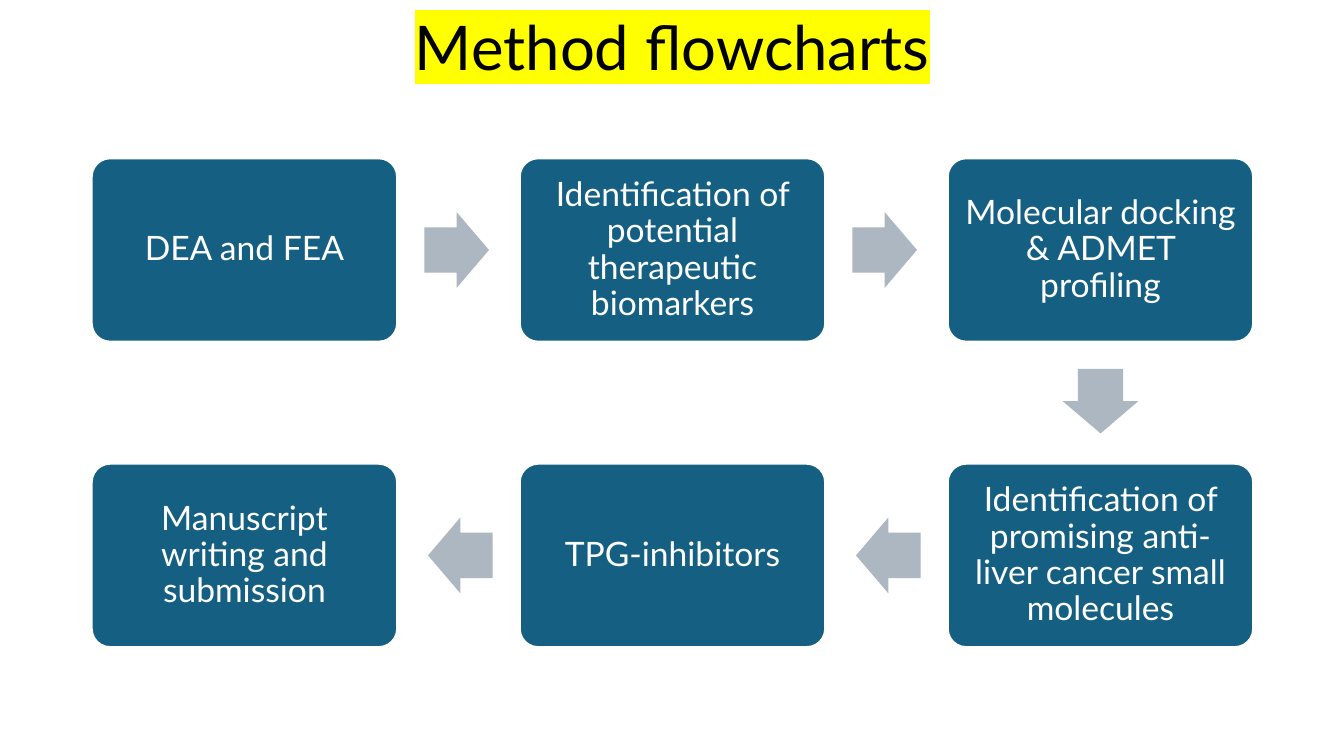
from lxml import etree
from pptx import Presentation
from pptx import util as u
from pptx.dml.color import RGBColor
from pptx.enum import shapes, text
from pptx.oxml.ns import qn

FONT = "Lato"
BOX_W, BOX_H = 3.03, 1.82
PITCH_X, PITCH_Y = 4.245, 3.03
ARROW_L, ARROW_W = 0.64, 0.75
ARROW_GAP = 0.27

# Text, column, row of each step, in reading order of the flow
STEPS = [
    ("DEA and FEA", 0, 0),
    ("Identification of potential therapeutic biomarkers", 1, 0),
    ("Molecular docking & ADMET profiling", 2, 0),
    ("Identification of promising anti-liver cancer small molecules", 2, 1),
    ("TPG-inhibitors", 1, 1),
    ("Manuscript writing and submission", 0, 1),
]


def rgb(value):
    return RGBColor.from_string(value)


def format_text(tf, size, color):
    tf.word_wrap = True
    tf.vertical_anchor = text.MSO_ANCHOR.MIDDLE
    p = tf.paragraphs[0]
    p.alignment = text.PP_ALIGN.CENTER
    p.line_spacing = 0.9
    r = p.runs[0]
    r.font.name = FONT
    r.font.size = u.Pt(size)
    r.font.color.rgb = rgb(color)
    return r


def highlight(r, color):
    fill = r.font._element.find(qn("a:solidFill"))
    mark = etree.Element(qn("a:highlight"))
    etree.SubElement(mark, qn("a:srgbClr"), val=color)
    fill.addnext(mark)


def add_title(s, left, top, width, height):
    sp = s.shapes.title
    sp.left, sp.top = u.Inches(left), u.Inches(top)
    sp.width, sp.height = u.Inches(width), u.Inches(height)
    sp.text_frame.text = "Method flowcharts"
    highlight(format_text(sp.text_frame, 44, "000000"), "FFFF00")


def add_block(s, kind, cx, cy, width, height, color):
    """Add a filled shape centred on (cx, cy)."""
    sp = s.shapes.add_shape(kind, u.Inches(cx - width / 2), u.Inches(cy - height / 2),
                            u.Inches(width), u.Inches(height))
    sp.shadow.inherit = False
    sp.fill.solid()
    sp.fill.fore_color.rgb = rgb(color)
    sp.line.fill.background()
    return sp


def add_step(s, label, cx, cy):
    sp = add_block(s, shapes.MSO_SHAPE.ROUNDED_RECTANGLE, cx, cy, BOX_W, BOX_H, "156082")
    sp.adjustments[0] = 0.1
    sp.line.color.rgb = rgb("FFFFFF")
    sp.line.width = u.Pt(1.5)
    tf = sp.text_frame
    tf.margin_left = tf.margin_right = tf.margin_top = tf.margin_bottom = u.Inches(0.1)
    tf.text = label
    format_text(tf, 24, "FFFFFF")


def add_arrow(s, cx, cy, dx, dy):
    """Add an arrow leaving the step centred on (cx, cy) in direction (dx, dy)."""
    reach = ARROW_GAP + ARROW_L / 2
    sp = add_block(s, shapes.MSO_SHAPE.RIGHT_ARROW,
                   cx + dx * (BOX_W / 2 + reach), cy + dy * (BOX_H / 2 + reach),
                   ARROW_L, ARROW_W, "ACB7C1")
    sp.adjustments[0] = 0.6
    sp.adjustments[1] = 0.5
    sp.rotation = 90 if dy else 180 if dx < 0 else 0


def add_flow(s, left, top):
    for i, (label, col, row) in enumerate(STEPS):
        cx = left + col * PITCH_X + BOX_W / 2
        cy = top + row * PITCH_Y + BOX_H / 2
        add_step(s, label, cx, cy)
        if i + 1 < len(STEPS):
            next_col, next_row = STEPS[i + 1][1:]
            add_arrow(s, cx, cy, next_col - col, next_row - row)


def main():
    prs = Presentation()
    prs.slide_width, prs.slide_height = u.Inches(13.33), u.Inches(7.5)
    s = prs.slides.add_slide(prs.slide_layouts[5])
    add_title(s, 0.92, -0.01, 11.5, 1.02)
    add_flow(s, 0.91, 1.57)
    prs.save("out.pptx")


if __name__ == "__main__":
    main()
